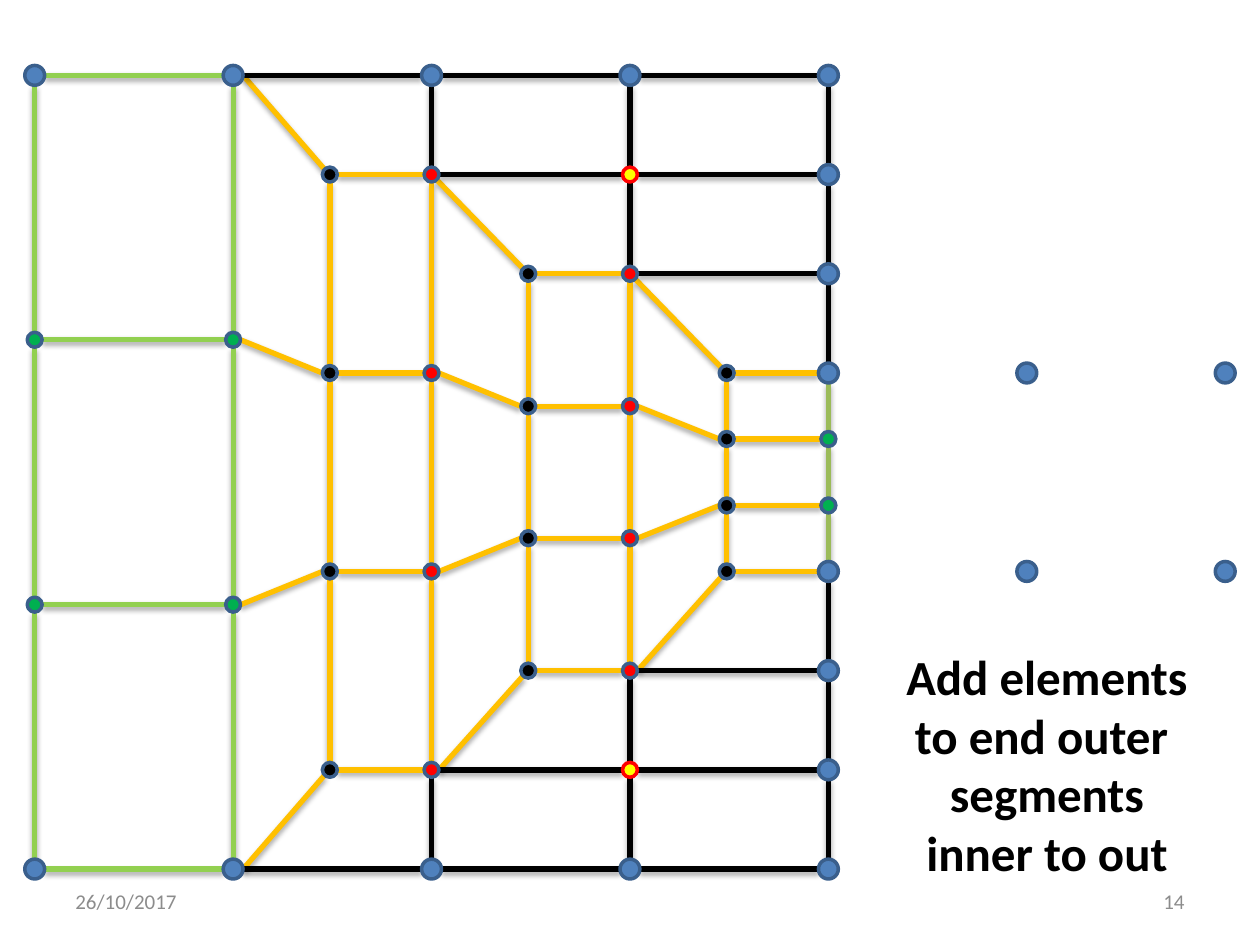
from dataclasses import dataclass

from lxml.etree import SubElement
from pptx import Presentation
from pptx.dml.color import RGBColor as RGB
from pptx.enum.shapes import MSO_CONNECTOR as Wire, MSO_SHAPE as Form
from pptx.enum.text import MSO_ANCHOR as Anchor, MSO_AUTO_SIZE as Fit, PP_ALIGN as Align
from pptx.oxml.ns import qn
from pptx.util import Cm, Pt


@dataclass(frozen=True)
class Theme:
    font: str = "Calibri"
    head: int = 28
    foot: int = 12
    wire: int = 3
    rim: int = 2
    black: str = "000000"
    grey: str = "8C8C8C"
    lime: str = "92D050"
    olive: str = "9BBB59"
    amber: str = "FFC000"
    blue: str = "4F81BD"
    navy: str = "3A5F8C"
    green: str = "00B050"
    red: str = "FF0000"
    yellow: str = "FFFF00"


T = Theme()
SIDE, STEP = 16, 4  # mesh side and column pitch in cm
BIG, SMALL = 0.2, 0.15  # node radii in cm
DIAG = 0.71
LEFT, RIGHT, UP, DOWN = (-1, 0), (1, 0), (0, -1), (0, 1)

# Each ring: x, inset from top and bottom, colour of its ends, colour of its
# inner nodes, colour of its own edges, colour of the edges to the next ring.
RINGS = [
    (0, 0, T.blue, T.green, T.lime, T.lime),
    (4, 0, T.blue, T.green, T.lime, T.amber),
    (5.95, 2, T.black, T.black, T.amber, T.amber),
    (8, 2, T.red, T.red, T.amber, T.amber),
    (9.95, 4, T.black, T.black, T.amber, T.amber),
    (12, 4, T.red, T.red, T.amber, T.amber),
    (13.95, 6, T.black, T.black, T.amber, T.amber),
    (16, 6, T.blue, T.green, T.olive, None),
]


def mesh_nodes():
    """Map each node's place to its fill colour."""
    nodes = {}
    for x, inset, end, inner, *_ in RINGS:
        for i, y in enumerate(thirds(inset)):
            nodes[x, y] = inner if i in (1, 2) else end
    for x in range(STEP, SIDE + 1, STEP):
        for y in (0, SIDE):
            nodes[x, y] = T.blue
    for y in (2, 4, 12, 14):
        nodes[SIDE, y] = T.blue
    for y in (2, 14):
        nodes[12, y] = T.yellow
    for x in (20, 24):
        for y in (6, 10):
            nodes[x, y] = T.blue
    return nodes


def thirds(inset):
    gap = (SIDE - 2 * inset) / 3
    return [round(inset + i * gap, 2) for i in range(4)]


def radius(fill):
    return BIG if fill == T.blue else SMALL


def draw_mesh(slide, left, top):
    nodes = mesh_nodes()

    def link(a, b, color, out, into):
        """Draw an edge from the rim of node a to the rim of node b."""
        ends = []
        for (x, y), (dx, dy) in ((a, out), (b, into)):
            r = radius(nodes[x, y])
            ends += [Cm(left + x + r * dx), Cm(top + y + r * dy)]
        line = slide.shapes.add_connector(Wire.STRAIGHT, *ends)
        line.line.color.rgb = RGB.from_string(color)
        line.line.width = Pt(T.wire)
        add_shade(line)

    for i, (x, inset, _, _, own, across) in enumerate(RINGS):
        rows = thirds(inset)
        for y, low in zip(rows, rows[1:]):
            link((x, y), (x, low), own, DOWN, UP)
        if across is None:
            continue
        next_x, deep = RINGS[i + 1][:2]
        for j, (y, to) in enumerate(zip(rows, thirds(deep))):
            out, into = RIGHT, LEFT
            if deep != inset and j in (0, 3):
                into = (-DIAG, -DIAG if j == 0 else DIAG)
                if j == 0 and inset:
                    out = (DIAG, DIAG)
            link((x, y), (next_x, to), across, out, into)

    # Black cells fill the corners that the rings leave free.
    for depth in range(3):
        y = 2 * depth
        for x in range(STEP * (depth + 1), SIDE, STEP):
            for row in (y, SIDE - y):
                link((x, row), (x + STEP, row), T.black, RIGHT, LEFT)
        for x in range(STEP * (depth + 2), SIDE + 1, STEP):
            link((x, y), (x, y + 2), T.black, DOWN, UP)
            link((x, SIDE - y - 2), (x, SIDE - y), T.black, DOWN, UP)

    for (x, y), fill in nodes.items():
        r = radius(fill)
        dot = slide.shapes.add_shape(
            Form.OVAL, Cm(left + x - r), Cm(top + y - r), Cm(2 * r), Cm(2 * r))
        dot.shadow.inherit = False
        dot.fill.solid()
        dot.fill.fore_color.rgb = RGB.from_string(fill)
        dot.line.color.rgb = RGB.from_string(T.red if fill == T.yellow else T.navy)
        dot.line.width = Pt(T.rim)


def add_shade(line):
    """Give a connector a soft shadow straight below it."""
    glow = SubElement(line._element.spPr, qn("a:effectLst"))
    shade = SubElement(glow, qn("a:outerShdw"), blurRad=str(Pt(3.1)),
                       dist=str(Pt(1.8)), dir="5400000", rotWithShape="0")
    tint = SubElement(shade, qn("a:srgbClr"), val=T.black)
    SubElement(tint, qn("a:alpha"), val="35000")


def write(para, text, size, color, align, bold=False):
    para.alignment = align
    run = para.add_run()
    run.text = text
    font = run.font
    font.name, font.size, font.bold = T.font, Pt(size), bold
    font.color.rgb = RGB.from_string(color)


def draw_title(slide, left, top, width, height):
    title = slide.shapes.title
    title.left, title.top = Cm(left), Cm(top)
    title.width, title.height = Cm(width), Cm(height)
    frame = title.text_frame
    frame.word_wrap = False
    frame.auto_size = Fit.NONE
    frame.vertical_anchor = Anchor.TOP
    lines = ["Add elements", "to end outer ", "segments", "inner to out"]
    for i, text in enumerate(lines):
        para = frame.add_paragraph() if i else frame.paragraphs[0]
        para.space_before = Pt(0)
        write(para, text, T.head, T.black, Align.CENTER, True)


def draw_foot(slide, left, top, width, height):
    part = 5.92
    for x, text, align in ((left, "26/10/2017", Align.LEFT),
                           (left + width - part, "14", Align.RIGHT)):
        box = slide.shapes.add_textbox(Cm(x), Cm(top), Cm(part), Cm(height))
        frame = box.text_frame
        frame.word_wrap = True
        frame.vertical_anchor = Anchor.MIDDLE
        write(frame.paragraphs[0], text, T.foot, T.grey, align)


def main():
    deck = Presentation()
    deck.slide_width, deck.slide_height = Cm(25.4), Cm(19.05)
    slide = deck.slides.add_slide(deck.slide_layouts.get_by_name("Title Only"))
    draw_mesh(slide, 0.7, 1.52)
    draw_title(slide, 17.98, 12.9, 6.25, 5.05)
    draw_foot(slide, 1.27, 17.65, 22.86, 1.02)
    deck.save("out.pptx")


if __name__ == "__main__":
    main()
